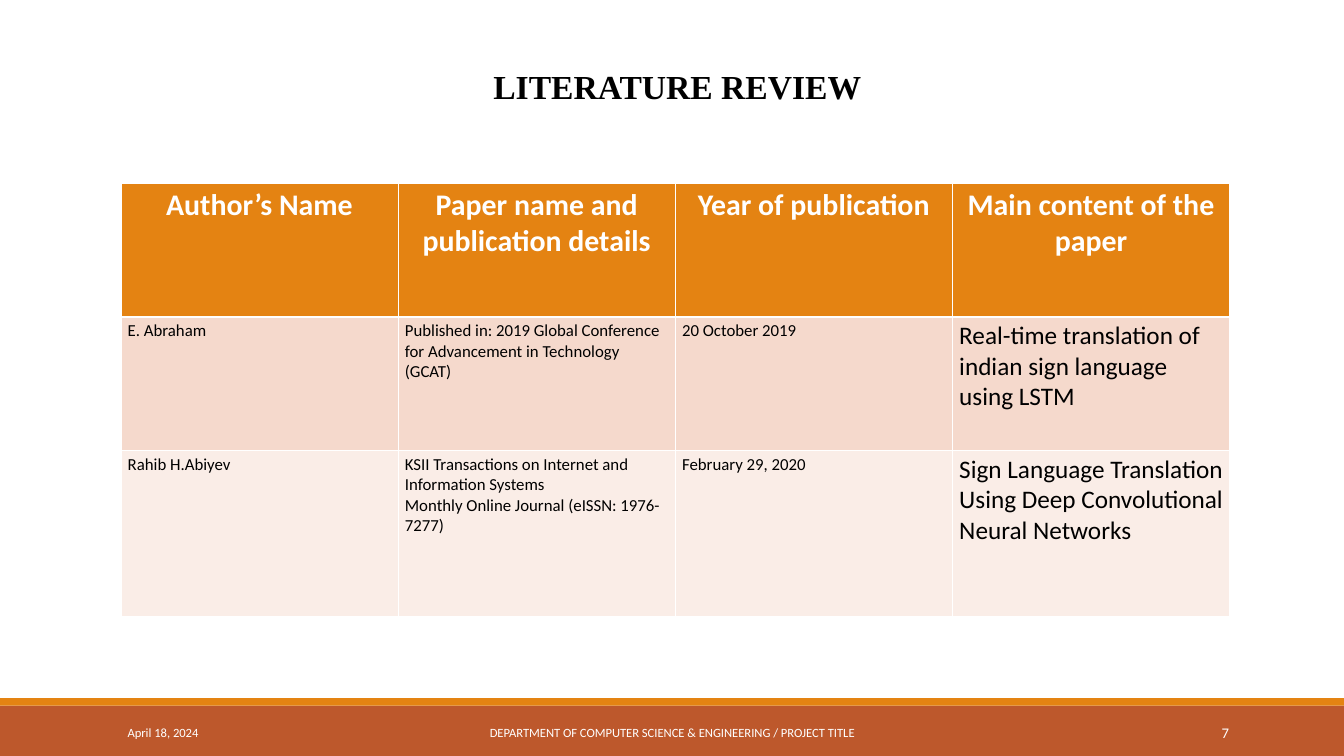
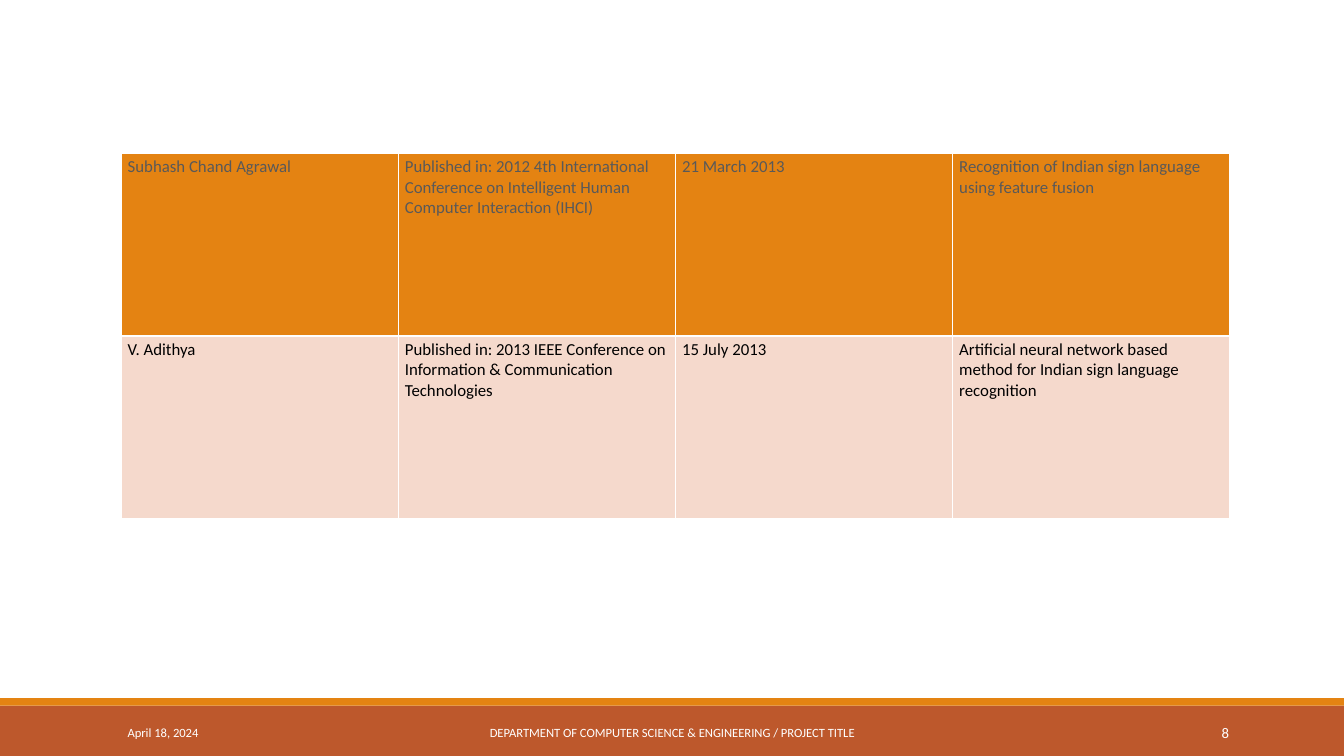
"""Build two literature review slides with a shared footer."""
from lxml.etree import SubElement
from pptx import Presentation
from pptx.dml.color import RGBColor
from pptx.enum.shapes import MSO_SHAPE
from pptx.enum.text import MSO_ANCHOR, MSO_AUTO_SIZE, PP_ALIGN
from pptx.oxml.ns import qn
from pptx.util import Inches, Pt

HUES = {
    "rust": "BD582C",
    "orange": "E48312",
    "peach": "F5D9CC",
    "blush": "FAEDE7",
    "white": "FFFFFF",
    "black": "000000",
    "gray": "595959",
}
BANDS = [(10.5, 0.75, "rust"), (10.39, 0.11, "orange")]
DEPT = "DEPARTMENT OF COMPUTER SCIENCE & ENGINEERING / PROJECT TITLE"
TITLE = "LITERATURE REVIEW"
HEADS = ["Author’s Name", "Paper name and publication details",
         "Year of publication", "Main content of the paper"]
PAPERS = [
    ["E. Abraham",
     "Published in: 2019 Global Conference for Advancement in Technology (GCAT)",
     "20 October 2019",
     "Real-time translation of indian sign language using LSTM"],
    ["Rahib H.Abiyev",
     "KSII Transactions on Internet and Information Systems\n"
     "Monthly Online Journal (eISSN: 1976-7277)",
     "February 29, 2020",
     "Sign Language Translation Using Deep Convolutional Neural Networks"],
    ["Subhash Chand Agrawal",
     "Published in: 2012 4th International Conference on Intelligent Human "
     "Computer Interaction (IHCI)",
     "21 March 2013",
     "Recognition of Indian sign language using feature fusion"],
    ["V. Adithya",
     "Published in: 2013 IEEE Conference on Information & Communication "
     "Technologies",
     "15 July 2013",
     "Artificial neural network based method for Indian sign language "
     "recognition"],
]
FILLS = ["orange", "peach", "blush"]
PAGES = [
    {"num": "7", "title": TITLE, "rows": [HEADS] + PAPERS[:2], "top": 2.73,
     "highs": [1.99, 1.99, 2.47], "ink": "white", "head": 32, "last": 27},
    {"num": "8", "title": None, "rows": PAPERS[2:], "top": 2.28,
     "highs": [2.72, 2.72], "ink": "gray", "head": 18, "last": 18},
]


def style(para, size, hue, align=PP_ALIGN.LEFT, face="Calibri", bold=False):
    para.alignment = align
    para.font.name = face
    para.font.size = Pt(size)
    para.font.bold = bold
    para.font.color.rgb = RGBColor.from_string(HUES[hue])


def edge(cell, side, width):
    line = SubElement(cell._tc.get_or_add_tcPr(), qn(f"a:ln{side}"), w=str(Pt(width)))
    fill = SubElement(line, qn("a:solidFill"))
    SubElement(fill, qn("a:srgbClr"), val=HUES["white"])


deck = Presentation()
deck.slide_width = Inches(20)
deck.slide_height = Inches(11.25)

for page in PAGES:
    slide = deck.slides.add_slide(deck.slide_layouts[5 if page["title"] else 6])

    for top, high, hue in BANDS:
        band = slide.shapes.add_shape(
            MSO_SHAPE.RECTANGLE, 0, Inches(top), deck.slide_width, Inches(high))
        band.shadow.inherit = False
        band.fill.solid()
        band.fill.fore_color.rgb = RGBColor.from_string(HUES[hue])
        band.line.fill.background()

    for left, wide, text, size, align in [
        (1.8, 4.06, "April 18, 2024", 13.5, PP_ALIGN.LEFT),
        (6.05, 7.91, DEPT, 13.5, PP_ALIGN.CENTER),
        (16.24, 2.15, page["num"], 15.8, PP_ALIGN.RIGHT),
    ]:
        frame = slide.shapes.add_textbox(
            Inches(left), Inches(10.6), Inches(wide), Inches(0.6)).text_frame
        frame.word_wrap = True
        frame.vertical_anchor = MSO_ANCHOR.MIDDLE
        frame.text = text
        style(frame.paragraphs[0], size, "white", align)

    if page["title"]:
        title = slide.shapes.title
        title.left, title.top = Inches(0.61), Inches(0.63)
        title.width, title.height = Inches(18.44), Inches(0.9)
        frame = title.text_frame
        frame.text = page["title"]
        frame.auto_size = MSO_AUTO_SIZE.NONE
        frame.vertical_anchor = MSO_ANCHOR.TOP
        frame.margin_left = Inches(0.6)
        frame.paragraphs[0].line_spacing = 1.5
        style(frame.paragraphs[0], 36, "black", PP_ALIGN.CENTER,
              "Times New Roman", True)

    rows, highs = page["rows"], page["highs"]
    table = slide.shapes.add_table(
        len(rows), len(HEADS), Inches(1.8), Inches(page["top"]),
        Inches(16.5), Inches(sum(highs))).table
    for r, (row, high) in enumerate(zip(rows, highs)):
        table.rows[r].height = Inches(high)
        for c, text in enumerate(row):
            cell = table.cell(r, c)
            cell.text = text
            for side, width in [("L", 1), ("R", 1), ("T", 3 if r == 1 else 1),
                                ("B", 3 if r == 0 else 1)]:
                edge(cell, side, width)
            cell.fill.solid()
            cell.fill.fore_color.rgb = RGBColor.from_string(HUES[FILLS[r]])
            for para in cell.text_frame.paragraphs:
                if row is HEADS:
                    style(para, page["head"], page["ink"], PP_ALIGN.CENTER, bold=True)
                else:
                    size = page["last"] if c == len(HEADS) - 1 else 18
                    style(para, size, "black" if r else page["ink"])

deck.save("out.pptx")
